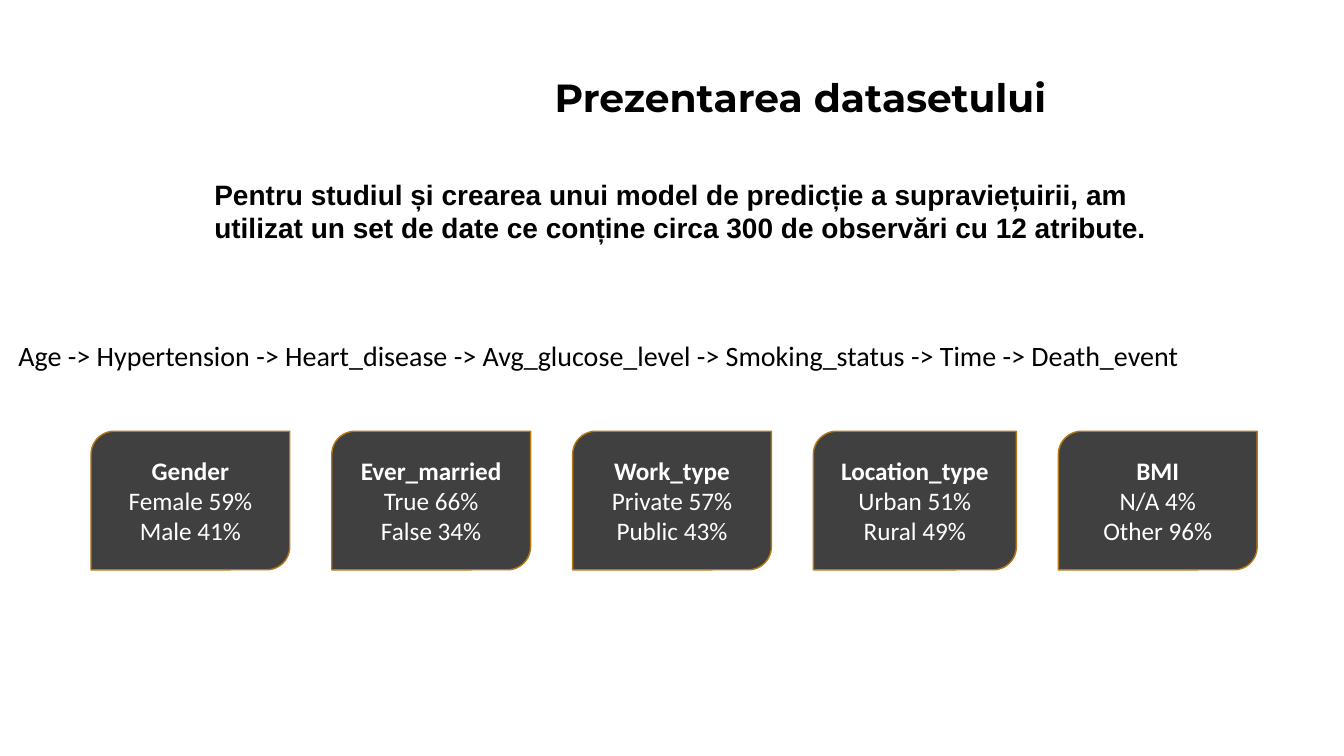
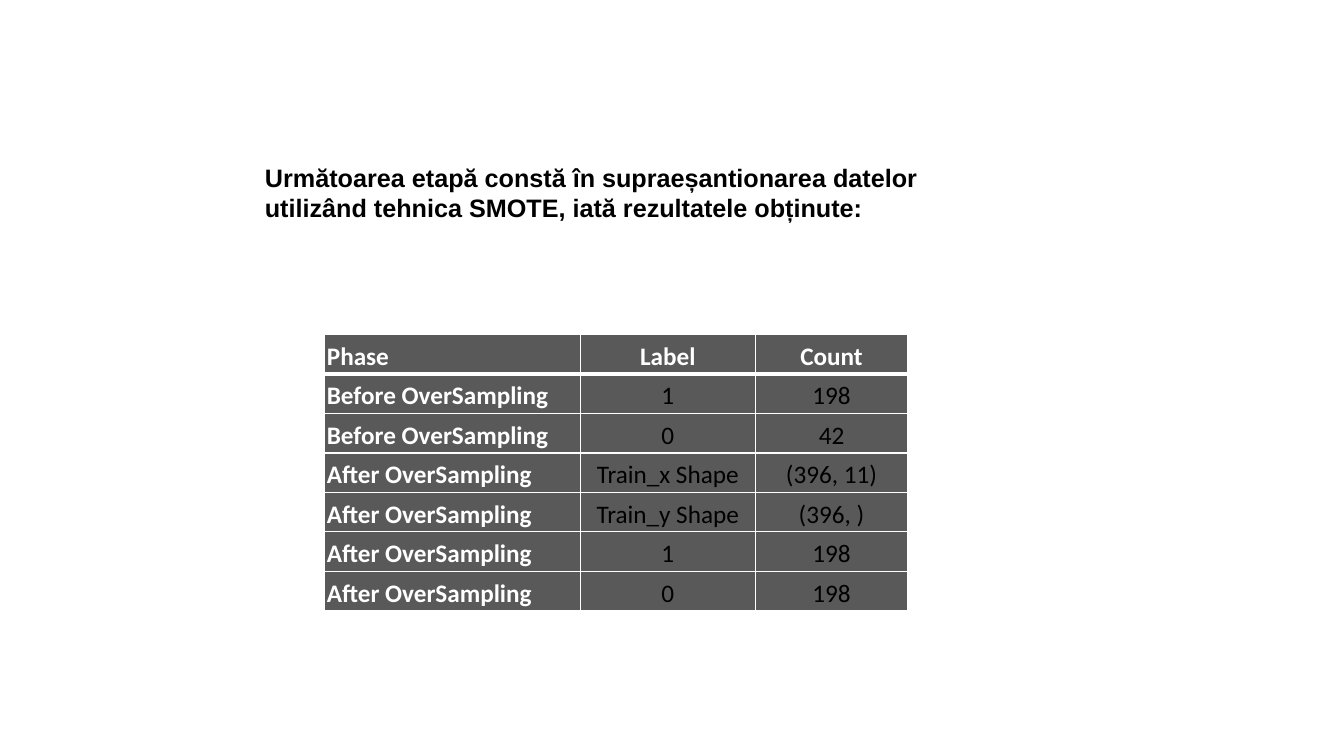
from dataclasses import dataclass
from typing import NamedTuple

from lxml import etree
from pptx import Presentation, slide as slides, table as tables, util as u
from pptx.dml.color import RGBColor
from pptx.enum import shapes, text
from pptx.oxml.ns import qn
from pptx.text import text as texts

TITLE_ONLY = 5


@dataclass(frozen=True)
class Theme:
    black: str = "000000"
    white: str = "FFFFFF"
    card: str = "404040"
    card_line: str = "B67815"
    cell: str = "595959"
    heading_font: str = "Montserrat"
    statement_font: str = "Arial"
    body_font: str = "Calibri"
    heading_size: float = 28
    large_size: float = 20
    base_size: float = 18


class Box(NamedTuple):
    left: float
    top: float
    width: float
    height: float

    def lengths(self) -> list[u.Length]:
        return [u.Pt(value) for value in self]


class Card(NamedTuple):
    name: str
    shares: tuple[str, str]
    width: float = 142


THEME = Theme()

CARDS = (
    Card("Gender", ("Female 59%", "Male 41%")),
    Card("Ever_married", ("True 66%", "False 34%")),
    Card("Work_type", ("Private 57%", "Public 43%")),
    Card("Location_type", ("Urban 51%", "Rural 49%"), width=145),
    Card("BMI", ("N/A 4%", "Other 96%")),
)
CARD_LEFT, CARD_TOP, CARD_HEIGHT, CARD_GAP = 65, 308, 99, 30

SAMPLING_ROWS = (
    ("Phase", "Label", "Count"),
    ("Before OverSampling", "1", "198"),
    ("Before OverSampling", "0", "42"),
    ("After OverSampling", "Train_x Shape", "(396, 11)"),
    ("After OverSampling", "Train_y Shape", "(396, )"),
    ("After OverSampling", "1", "198"),
    ("After OverSampling", "0", "198"),
)
COLUMN_WIDTHS = (183, 125, 109)
ROW_HEIGHT = 28.2


def write(frame: texts.TextFrame, *lines: str, size: float = THEME.base_size,
          font: str = THEME.body_font, color: str = THEME.black,
          bold: bool = False, bold_first: bool = False,
          align: text.PP_ALIGN = text.PP_ALIGN.LEFT,
          anchor: text.MSO_ANCHOR = text.MSO_ANCHOR.TOP,
          line_spacing: float = 1.0, space_after: float = 0) -> None:
    """Write each line as a paragraph; bold_first sets only the first in bold."""
    frame.word_wrap = True
    frame.vertical_anchor = anchor
    for index, line in enumerate(lines):
        paragraph = frame.add_paragraph() if index else frame.paragraphs[0]
        paragraph.alignment = align
        paragraph.line_spacing = line_spacing
        paragraph.space_after = u.Pt(space_after)
        run = paragraph.add_run()
        run.text = line
        run.font.name = font
        run.font.size = u.Pt(size)
        run.font.bold = bold or (bold_first and index == 0)
        run.font.color.rgb = RGBColor.from_string(color)


def add_titled_slide(presentation: Presentation, title: str, box: Box,
                     font: str, size: float) -> slides.Slide:
    slide = presentation.slides.add_slide(presentation.slide_layouts[TITLE_ONLY])
    shape = slide.shapes.title
    shape.left, shape.top, shape.width, shape.height = box.lengths()
    shape.text_frame.auto_size = text.MSO_AUTO_SIZE.NONE
    write(shape.text_frame, title, font=font, size=size, bold=True)
    return slide


def add_text(slide: slides.Slide, content: str, box: Box, **text_format) -> None:
    shape = slide.shapes.add_textbox(*box.lengths())
    write(shape.text_frame, content, **text_format)


def add_card(slide: slides.Slide, card: Card, left: float) -> None:
    box = Box(left, CARD_TOP, card.width, CARD_HEIGHT)
    shape = slide.shapes.add_shape(
        shapes.MSO_SHAPE.ROUND_2_DIAG_RECTANGLE, *box.lengths())
    shape.shadow.inherit = False
    shape.fill.solid()
    shape.fill.fore_color.rgb = RGBColor.from_string(THEME.card)
    shape.line.color.rgb = RGBColor.from_string(THEME.card_line)
    shape.line.width = u.Pt(1)
    write(shape.text_frame, card.name, *card.shares, color=THEME.white,
          bold_first=True, align=text.PP_ALIGN.CENTER,
          anchor=text.MSO_ANCHOR.MIDDLE)


def set_borders(cell: tables._Cell, top: float, bottom: float) -> None:
    properties = cell._tc.get_or_add_tcPr()
    for side, width in (("L", 1), ("R", 1), ("T", top), ("B", bottom)):
        line = etree.SubElement(properties, qn(f"a:ln{side}"), w=str(u.Pt(width)))
        fill = etree.SubElement(line, qn("a:solidFill"))
        etree.SubElement(fill, qn("a:srgbClr"), val=THEME.white)


def format_cell(cell: tables._Cell, content: str, row: int, column: int) -> None:
    set_borders(cell, top=3 if row == 1 else 1, bottom=3 if row == 0 else 1)
    cell.fill.solid()
    cell.fill.fore_color.rgb = RGBColor.from_string(THEME.cell)
    cell.margin_left = cell.margin_right = u.Pt(2)
    cell.margin_top = cell.margin_bottom = u.Pt(1.4)
    heading = row == 0 or column == 0
    write(cell.text_frame, content, bold=heading,
          color=THEME.white if heading else THEME.black,
          align=text.PP_ALIGN.CENTER if column else text.PP_ALIGN.LEFT,
          line_spacing=1.07, space_after=8)
    cell.vertical_anchor = text.MSO_ANCHOR.BOTTOM


def add_sampling_table(slide: slides.Slide, left: float, top: float) -> None:
    box = Box(left, top, sum(COLUMN_WIDTHS), ROW_HEIGHT * len(SAMPLING_ROWS))
    table = slide.shapes.add_table(
        len(SAMPLING_ROWS), len(COLUMN_WIDTHS), *box.lengths()).table
    table.first_row = table.horz_banding = False
    for column, width in zip(table.columns, COLUMN_WIDTHS):
        column.width = u.Pt(width)
    for row, contents in enumerate(SAMPLING_ROWS):
        table.rows[row].height = u.Pt(ROW_HEIGHT)
        for column, content in enumerate(contents):
            format_cell(table.cell(row, column), content, row, column)


def build_dataset_slide(presentation: Presentation) -> None:
    slide = add_titled_slide(presentation, "Prezentarea datasetului",
                             Box(389, 49, 468, 41),
                             THEME.heading_font, THEME.heading_size)
    add_text(slide,
             "Pentru studiul și crearea unui model de predicție a supraviețuirii, "
             "am utilizat un set de date ce conține circa 300 de observări "
             "cu 12 atribute.",
             Box(146, 123, 700, 56), font=THEME.statement_font,
             size=THEME.large_size, bold=True)
    add_text(slide,
             "Age -> Hypertension -> Heart_disease -> Avg_glucose_level -> "
             "Smoking_status -> Time -> Death_event",
             Box(6, 238.5, 954, 32), size=THEME.large_size)
    left = CARD_LEFT
    for card in CARDS:
        add_card(slide, card, left)
        left += card.width + CARD_GAP


def build_sampling_slide(presentation: Presentation) -> None:
    slide = add_titled_slide(
        presentation,
        "Următoarea etapă constă în supraeșantionarea datelor utilizând "
        "tehnica SMOTE, iată rezultatele obținute:",
        Box(182, 112.5, 552, 51), THEME.statement_font, THEME.base_size)
    add_sampling_table(slide, left=231.5, top=239)


def main() -> None:
    presentation = Presentation()
    presentation.slide_width, presentation.slide_height = u.Pt(960), u.Pt(540)
    build_dataset_slide(presentation)
    build_sampling_slide(presentation)
    presentation.save("out.pptx")


if __name__ == "__main__":
    main()
